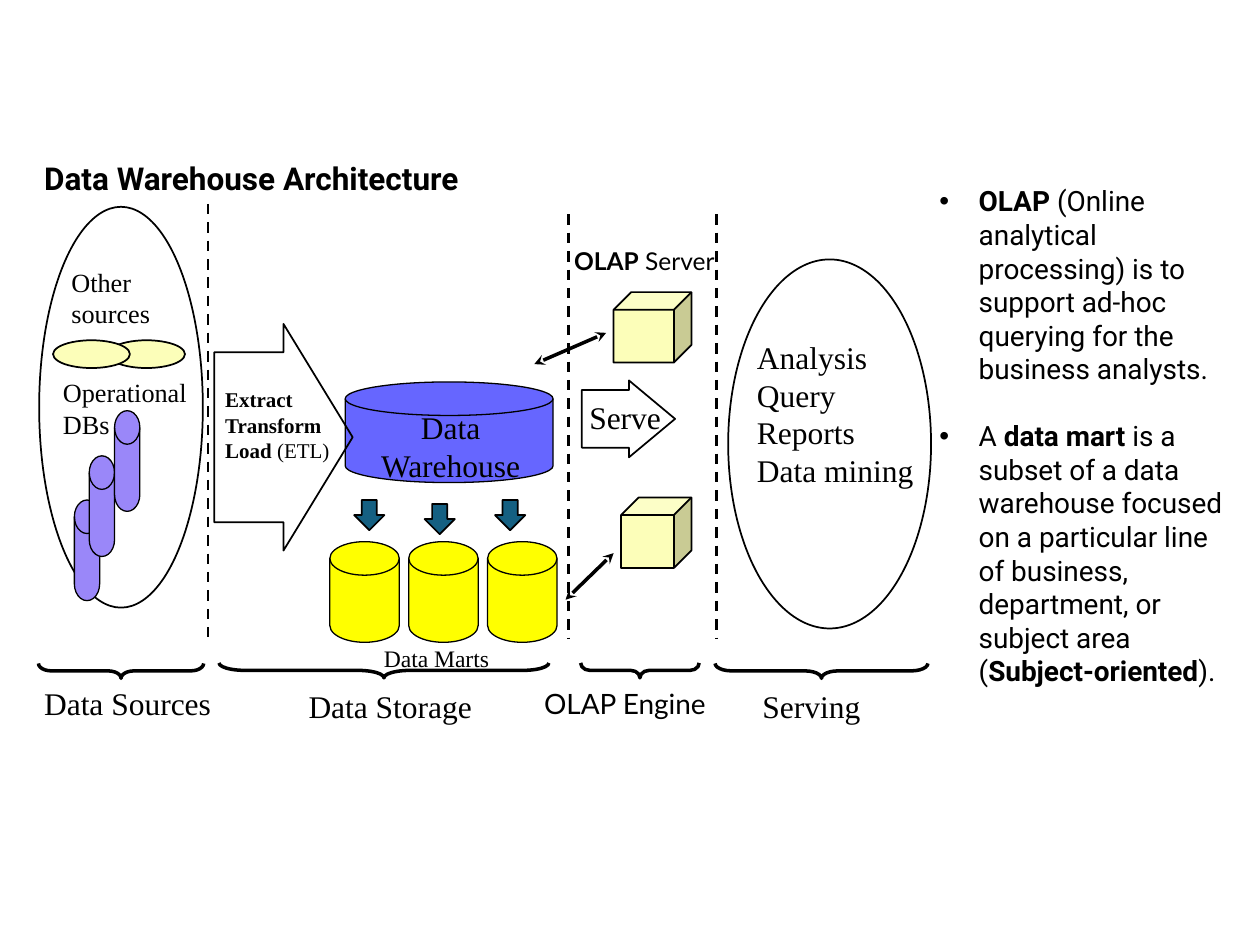
from lxml import etree
from pptx import Presentation
from pptx import util as u
from pptx.dml.color import RGBColor
from pptx.enum import dml, shapes, text
from pptx.oxml.ns import qn

rgb = RGBColor.from_string
S = shapes.MSO_SHAPE
LEFT, CENTER = text.PP_ALIGN.LEFT, text.PP_ALIGN.CENTER
SERIF, LATO, ROBOTO = "Times New Roman", "Lato", "Roboto"
PAD = (0.2, 0.1)
NONE = (0, 0)

prs = Presentation()
prs.slide_width, prs.slide_height = u.Cm(25.4), u.Cm(19.05)
s = prs.slides.add_slide(prs.slide_layouts[6])


def add_shape(kind, box, fill=None, width=1, adj=()):
    sp = s.shapes.add_shape(kind, *map(u.Cm, box))
    sp.shadow.inherit = False
    if fill:
        sp.fill.solid()
        sp.fill.fore_color.rgb = rgb(fill)
    else:
        sp.fill.background()
    sp.line.color.rgb = rgb("000000")
    sp.line.width = u.Pt(width)
    for i, value in enumerate(adj):
        sp.adjustments[i] = value
    return sp


def add_text(box, lines, size, font=SERIF, align=LEFT, pad=PAD, wrap=False):
    sp = s.shapes.add_textbox(*map(u.Cm, box))
    tf = sp.text_frame
    tf.word_wrap = wrap
    tf.auto_size = text.MSO_AUTO_SIZE.SHAPE_TO_FIT_TEXT
    tf.margin_left = tf.margin_right = u.Cm(pad[0])
    tf.margin_top = tf.margin_bottom = u.Cm(pad[1])
    for i, line in enumerate(lines):
        p = tf.paragraphs[0] if i == 0 else tf.add_paragraph()
        p.alignment = align
        for j, part in enumerate(line.split("**")):
            if part:
                r = p.add_run()
                r.text = part
                r.font.size = u.Pt(size)
                r.font.name = font
                r.font.bold = j % 2 == 1
                r.font.color.rgb = rgb("000000")
    return sp


add_shape(S.FLOWCHART_MAGNETIC_DISK, (6.96, 7.7, 4.19, 2.03), "6666FF", 0.75)
add_shape(S.OVAL, (14.68, 5.23, 4.09, 7.44))
add_shape(S.RIGHT_ARROW, (11.73, 7.67, 1.88, 1.55), adj=(0.75, 0.6))
add_shape(S.RIGHT_ARROW, (4.32, 6.53, 2.79, 4.57), adj=(0.75, 0.5))

for box in [(12.37, 5.89, 1.57, 1.42), (12.52, 10.03, 1.42, 1.42)]:
    add_shape(S.CUBE, box, "FCFEB9", adj=(0.25,))

for i, top in enumerate([10.08, 10.16, 10.08]):
    add_shape(S.DOWN_ARROW, (7.14 + 1.42 * i, top, 0.61, 0.61), "156082")
    add_shape(S.FLOWCHART_MAGNETIC_DISK, (6.65 + 1.59 * i, 10.92, 1.4, 2.03), "FFFF00", 0.75)

add_shape(S.OVAL, (2.18, 6.86, 1.55, 0.56), "FCFEB9")
add_shape(S.OVAL, (0.79, 4.17, 3.3, 8.08))
add_shape(S.OVAL, (1.07, 6.86, 1.55, 0.56), "FCFEB9")
for left, top in [(1.5, 10.08), (1.8, 9.19), (2.31, 8.28)]:
    add_shape(S.FLOWCHART_MAGNETIC_DISK, (left, top, 0.51, 2.03), "9A87F9", 0.75)

for left, top, length, curl in [(2.29, 11.86, 3.33, 0.88), (7.59, 10.19, 6.65, 1.75),
                                (12.75, 12.32, 2.39, 0.62), (16.41, 11.38, 4.29, 1.12)]:
    sp = add_shape(S.RIGHT_BRACE, (left, top, 0.3, length), width=2, adj=(curl, 0.5))
    sp.rotation = 90

for ends, dashed in [((10.77, 7.34, 12.22, 6.71), False), ((11.4, 12.09, 12.37, 11.15), False),
                     ((4.19, 4.11, 4.19, 12.85), True), ((11.46, 4.32, 11.46, 12.88), True),
                     ((14.45, 4.32, 14.45, 12.88), True)]:
    line = s.shapes.add_connector(shapes.MSO_CONNECTOR.STRAIGHT, *map(u.Cm, ends))
    line.line.color.rgb = rgb("000000")
    line.line.width = u.Pt(1.5 if dashed else 2)
    if dashed:
        line.line.dash_style = dml.MSO_LINE.DASH
    else:
        ln = line.line._get_or_add_ln()
        for tag in ("a:headEnd", "a:tailEnd"):
            etree.SubElement(ln, qn(tag), type="stealth")
    etree.SubElement(line._element.spPr, qn("a:effectLst"))

title = add_text((0.69, 2.79, 17.78, 1.27), ["**Data Warehouse Architecture**"], 18, ROBOTO, wrap=True)
title.text_frame.auto_size = text.MSO_AUTO_SIZE.NONE
title.text_frame.vertical_anchor = text.MSO_ANCHOR.BOTTOM

add_text((7.47, 8.13, 3.23, 1.73), ["Data", "Warehouse"], 18, align=CENTER)
add_text((4.34, 7.7, 2.51, 1.73), ["**Extract**", "**Transform**", "**Load **(ETL)"], 12)
add_text((15.06, 6.71, 3.58, 3.28), ["Analysis", "Query", "Reports", "Data mining"], 18)
add_text((11.68, 7.92, 1.85, 0.97), ["Serve"], 18)
add_text((1.07, 7.49, 3.05, 1.47), ["Operational", "DBs"], 15)
add_text((1.24, 5.26, 2.29, 1.47), ["Other", "sources"], 15, wrap=True)
add_text((7.72, 12.98, 2.16, 0.58), ["Data Marts"], 13.5, align=CENTER, pad=NONE)
add_text((11.4, 4.95, 3.18, 0.61), ["**OLAP** Server"], 14, LATO, CENTER, NONE, True)

add_text((0.69, 13.69, 3.78, 0.97), ["Data Sources"], 18)
add_text((6.22, 13.84, 3.33, 0.76), ["Data Storage"], 18, pad=NONE)
add_text((10.62, 13.84, 3.96, 0.69), ["OLAP Engine"], 16, LATO, CENTER, NONE, True)
add_text((15.37, 13.84, 2.01, 0.76), ["Serving"], 18, pad=NONE)

notes = add_text((18.69, 3.58, 6.38, 10.52), [
    "**OLAP** (Online analytical processing) is to support ad-hoc querying for the business analysts.",
    "A **data mart **is a subset of a data warehouse focused on a particular line of business, "
    "department, or subject area (**Subject-oriented**).",
], 16, ROBOTO, pad=(0.25, 0.13), wrap=True)
for p in notes.text_frame.paragraphs:
    pPr = p._p.get_or_add_pPr()
    pPr.set("marL", str(u.Cm(0.79)))
    pPr.set("indent", str(-u.Cm(0.79)))
    etree.SubElement(pPr, qn("a:buFont"), typeface="Arial")
    etree.SubElement(pPr, qn("a:buChar"), char="•")
notes.text_frame.paragraphs[1].space_before = u.Pt(19)

prs.save("out.pptx")
